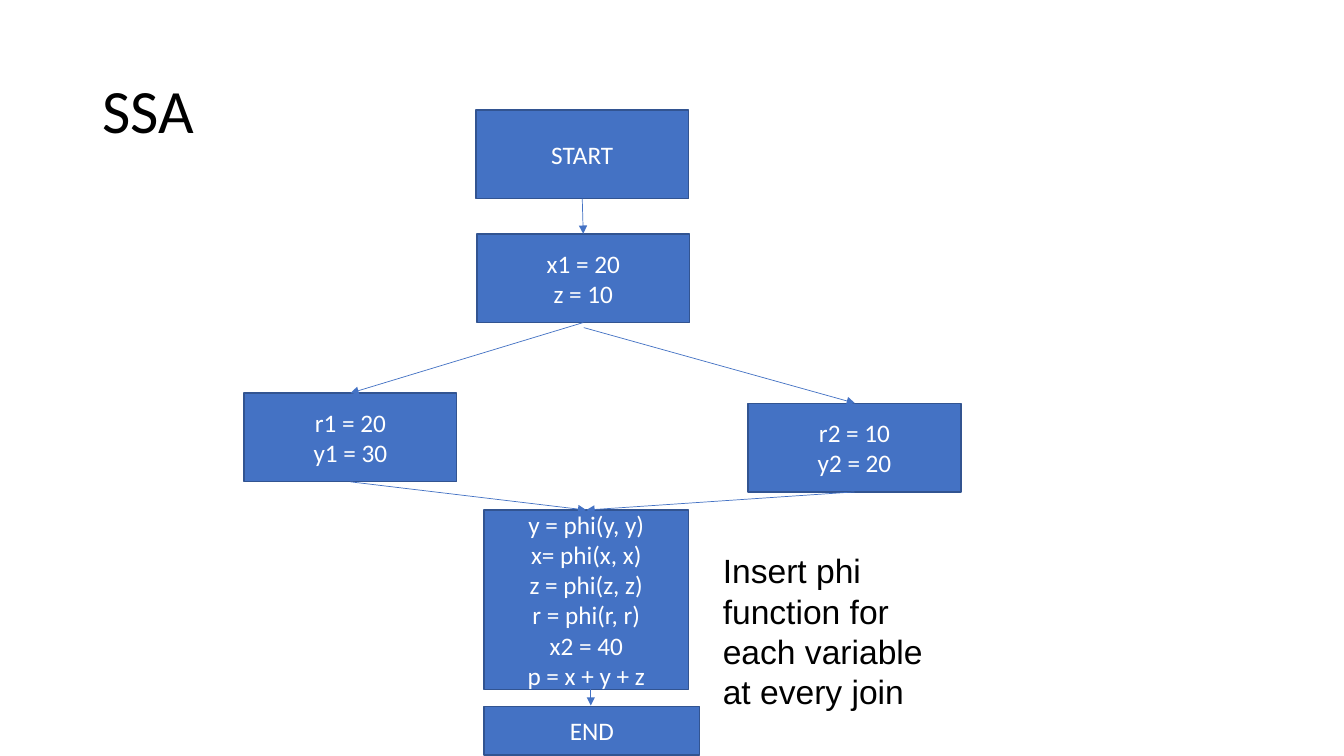
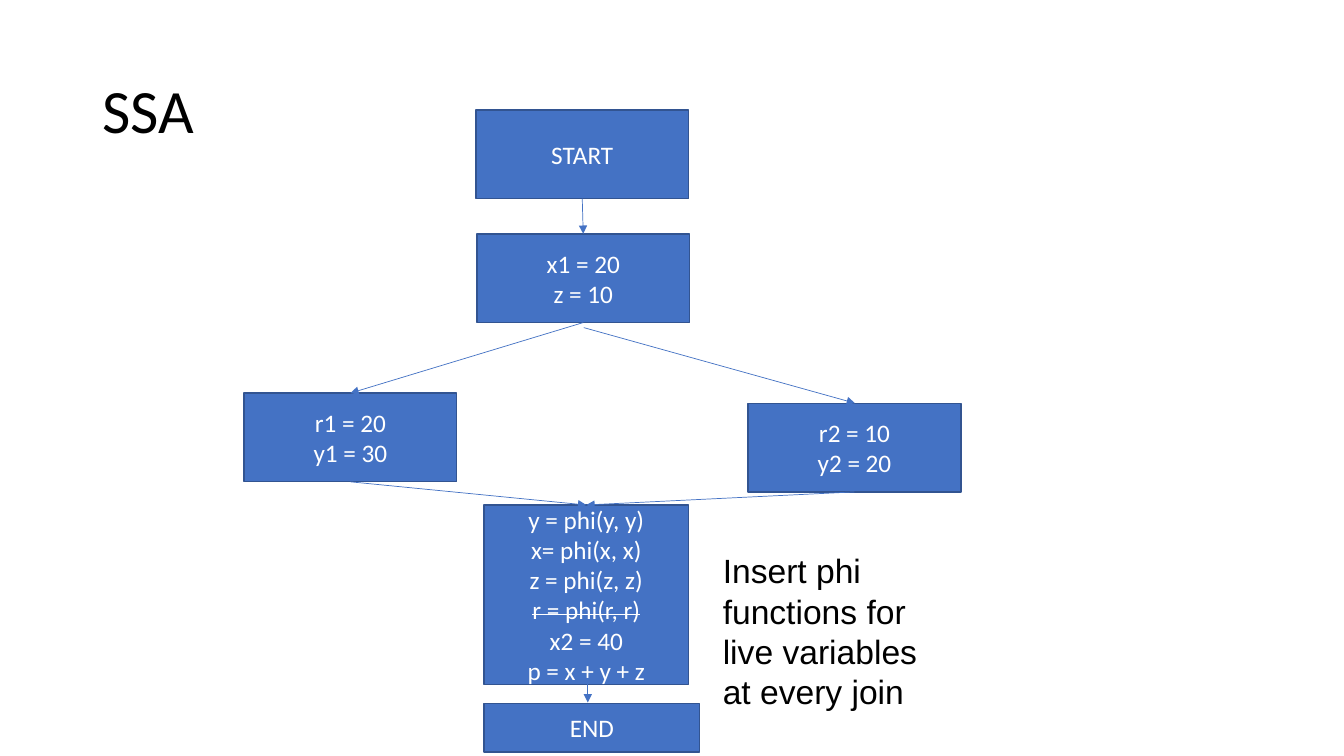
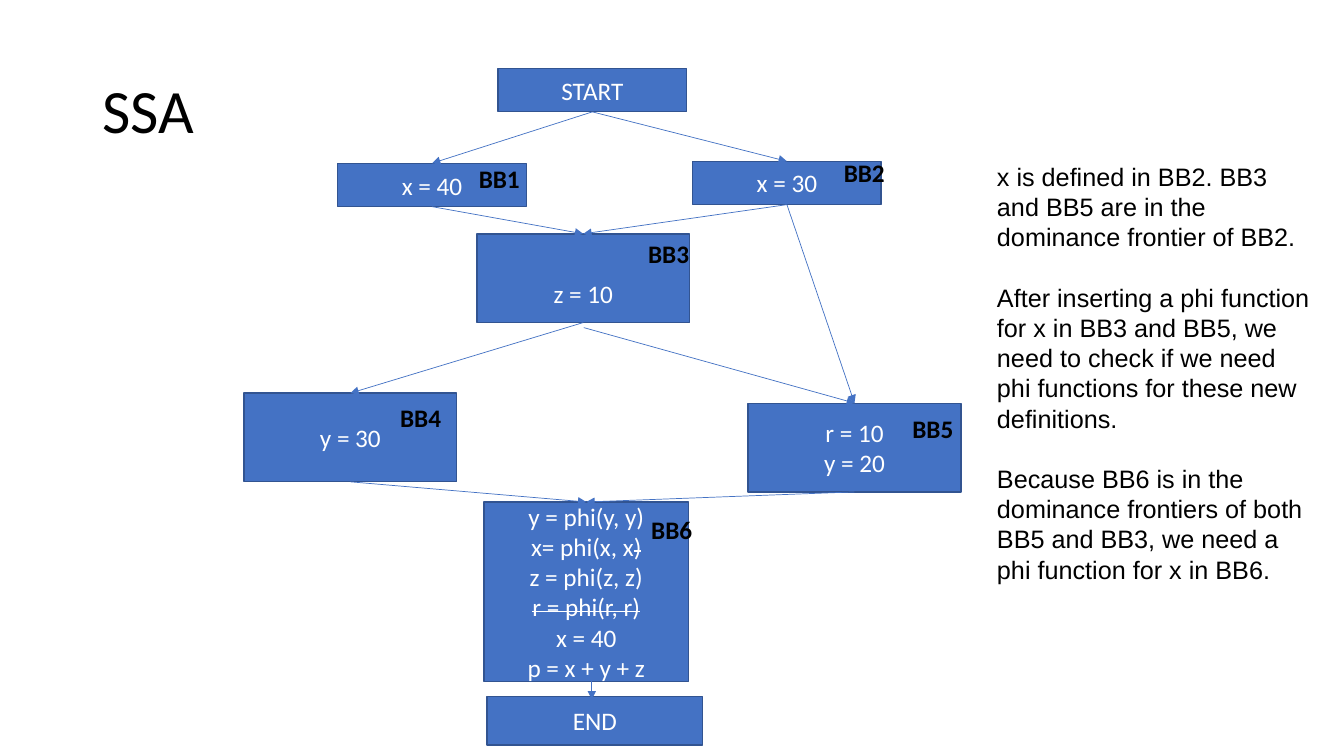
"""Build three slides on inserting phi functions in SSA control-flow graphs."""
from lxml import etree
from pptx import Presentation
from pptx.dml.color import RGBColor
from pptx.enum.shapes import MSO_CONNECTOR, MSO_SHAPE
from pptx.enum.text import MSO_ANCHOR, PP_ALIGN
from pptx.oxml.ns import qn
from pptx.util import Inches, Pt

BLUE = RGBColor(0x44, 0x72, 0xC4)
EDGE = RGBColor(0x32, 0x54, 0x91)
WHITE = RGBColor(0xFF, 0xFF, 0xFF)
BLACK = RGBColor(0, 0, 0)

BLOCK = (2.11, 0.88)
SLIM = (1.87, 0.43)
JOIN = (2.03, 1.78)
END = (2.14, 0.48)
BOTTOM, TOP = 2, 0
STRIKE = "~"


def add_runs(p, text, size, font, color, bold=False):
    for i, part in enumerate(text.split(STRIKE)):
        if not part:
            continue
        r = p.add_run()
        r.text = part
        r.font.size = Pt(size)
        r.font.name = font
        r.font.color.rgb = color
        r.font.bold = bold
        if i % 2:
            r._r.get_or_add_rPr().set("strike", "sngStrike")


def add_lines(tf, lines, size, font, color, bold=False, align=PP_ALIGN.LEFT, gap=0):
    tf.word_wrap = True
    for i, line in enumerate(lines):
        p = tf.paragraphs[0] if i == 0 else tf.add_paragraph()
        p.alignment = align
        if i and gap:
            p.space_before = Pt(gap)
        add_runs(p, line, size, font, color, bold)


def add_text(s, at, lines, size, font="Arial", **style):
    sp = s.shapes.add_textbox(*map(Inches, at))
    add_lines(sp.text_frame, lines, size, font, BLACK, **style)
    return sp.text_frame


def add_block(s, pos, size, *lines):
    sp = s.shapes.add_shape(MSO_SHAPE.RECTANGLE, *map(Inches, pos + size))
    sp.shadow.inherit = False
    sp.fill.solid()
    sp.fill.fore_color.rgb = BLUE
    sp.line.color.rgb = EDGE
    sp.line.width = Pt(1)
    tf = sp.text_frame
    tf.vertical_anchor = MSO_ANCHOR.MIDDLE
    add_lines(tf, lines, 18, "Calibri", WHITE, align=PP_ALIGN.CENTER)
    return sp


def add_arrow(s, start=(0, 0), end=(0, 0)):
    c = s.shapes.add_connector(MSO_CONNECTOR.STRAIGHT, *map(Inches, start + end))
    c.line.color.rgb = BLUE
    c.line.width = Pt(0.5)
    etree.SubElement(c.line._get_or_add_ln(), qn("a:tailEnd"), type="triangle")
    etree.SubElement(c._element.spPr, qn("a:effectLst"))
    return c


def link(s, source, target):
    c = add_arrow(s)
    c.begin_connect(source, BOTTOM)
    c.end_connect(target, TOP)


def add_label(s, text, x, y):
    add_text(s, (x, y, 1.08, 0.4), [text], 18, "Calibri", bold=True)


def new_slide(prs):
    s = prs.slides.add_slide(prs.slide_layouts[6])
    tf = add_text(s, (0.92, 0.4, 11.5, 1.45), ["SSA"], 44, "Calibri")
    tf.vertical_anchor = MSO_ANCHOR.MIDDLE
    tf.paragraphs[0].line_spacing = 0.9
    return s


def add_diamond(s, head, left, right, join, join_y, end_pos, exit_x, exit_y):
    fork = add_block(s, (4.73, 2.32), BLOCK, *head)
    a = add_block(s, (2.42, 3.9), BLOCK, *left)
    b = add_block(s, (7.42, 4), BLOCK, *right)
    merge = add_block(s, (4.8, join_y), JOIN, *join)
    add_block(s, end_pos, END, "END")
    link(s, fork, a)
    add_arrow(s, (5.79, 3.25), (8.48, 4))
    link(s, a, merge)
    link(s, b, merge)
    add_arrow(s, (exit_x, exit_y), (exit_x, exit_y + 0.23))
    return fork, b


def join_lines(r_line, x_line, x_name):
    return ["y = phi(y, y)", x_line, "z = phi(z, z)", r_line,
            f"{x_name} = 40", "p = x + y + z"]


def phi_slide(prs, r_line, join_y, end_y, exit_x, exit_y, note):
    s = new_slide(prs)
    fork, _ = add_diamond(
        s, ["x1 = 20", "z = 10"], ["r1 = 20", "y1 = 30"], ["r2 = 10", "y2 = 20"],
        join_lines(r_line, "x= phi(x, x)", "x2"), join_y, (4.8, end_y), exit_x, exit_y)
    link(s, add_block(s, (4.72, 1.09), BLOCK, "START"), fork)
    add_text(s, (7.07, 5.41, 2.49, 1.72), [note], 24)


def frontier_slide(prs):
    s = new_slide(prs)
    bb3, bb5 = add_diamond(
        s, ["z = 10"], ["y = 30"], ["r = 10", "y = 20"],
        join_lines("~r = phi(r, r)", "x= phi(x, x~)", "x"), 4.98, (4.83, 6.91), 5.87, 6.71)
    bb3.text_frame.margin_top = Inches(0.35)
    start = add_block(s, (4.94, 0.68), SLIM, "START")
    bb1 = add_block(s, (3.35, 1.62), SLIM, "x = 40")
    bb2 = add_block(s, (6.87, 1.6), SLIM, "x = 30")
    for source, target in ((start, bb1), (start, bb2), (bb1, bb3), (bb2, bb3), (bb2, bb5)):
        link(s, source, target)
    spots = ((4.65, 1.57), (8.27, 1.51), (6.33, 2.32), (3.87, 3.94), (8.95, 4.05), (6.36, 5.05))
    for n, (x, y) in enumerate(spots, 1):
        add_label(s, f"BB{n}", x, y)
    add_text(s, (9.79, 1.55, 3.33, 4.34), [
        "x is defined in BB2. BB3 and BB5 are in the dominance frontier of BB2.",
        "After inserting a phi function for x in BB3 and BB5, we need to check if "
        "we need phi functions for these new definitions.",
        "Because BB6 is in the dominance frontiers of both BB5 and BB3, we need a "
        "phi function for x in BB6.",
    ], 18, gap=21.5)


def main():
    prs = Presentation()
    prs.slide_width = Inches(13.33)
    prs.slide_height = Inches(7.5)
    phi_slide(prs, "r = phi(r, r)", 5.06, 7.01, 5.86, 6.77,
              "Insert phi function for each variable at every join")
    phi_slide(prs, "~r = phi(r, r)", 5.01, 6.98, 5.83, 6.74,
              "Insert phi functions for live variables at every join")
    frontier_slide(prs)
    prs.save("out.pptx")


if __name__ == "__main__":
    main()
